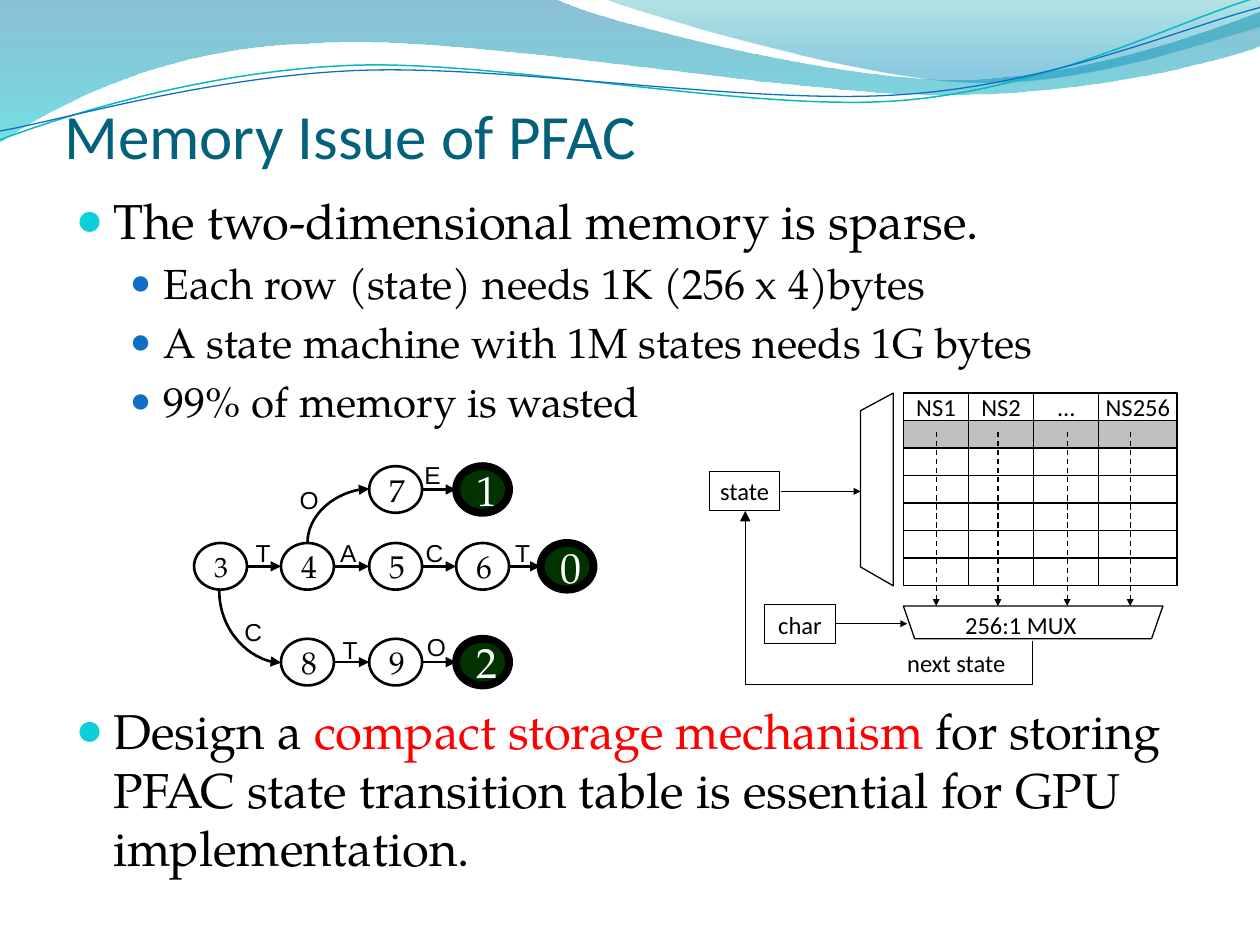
from lxml.etree import SubElement
from pptx import Presentation
from pptx.dml.color import RGBColor
from pptx.enum.dml import MSO_LINE
from pptx.enum.shapes import MSO_CONNECTOR, MSO_SHAPE
from pptx.enum.text import MSO_ANCHOR, MSO_AUTO_SIZE, PP_ALIGN
from pptx.oxml.ns import qn
from pptx.util import Inches, Pt

COLORS = {
    "black": "000000", "white": "FFFFFF", "title": "04617B", "red": "FF0000",
    "bullet": "0BD0D9", "sub_bullet": "0F6FC6", "gray": "BFBFBF", "accept": "003300",
    "teal_line": "0AB8BF", "blue_line": "0F6FC6",
    "deep": "0074A1", "cyan": "00C6CF", "teal": "00A1A9", "sky": "008BBF",
}
SERIF = "TeX Gyre Pagella"


def color(name):
    return RGBColor.from_string(COLORS[name])


def format_frame(frame, inset=None, **values):
    if inset is not None:
        margins = ("margin_left", "margin_top", "margin_right", "margin_bottom")
        values = {**dict.fromkeys(margins, Inches(inset)), **values}
    for name, value in values.items():
        setattr(frame, name, value)


def add_run(paragraph, text, font, size, font_color="black"):
    run = paragraph.add_run()
    run.text = text
    for name, value in {"name": font, "size": Pt(size), "bold": False}.items():
        setattr(run.font, name, value)
    run.font.color.rgb = color(font_color)


def paint(shape, fill=None, line=None, width=0.75):
    shape.shadow.inherit = False
    if fill:
        shape.fill.solid()
        shape.fill.fore_color.rgb = color(fill)
    else:
        shape.fill.background()
    if line:
        shape.line.color.rgb = color(line)
        shape.line.width = Pt(width)
    else:
        shape.line.fill.background()


def add_label(slide, text, left, top, width, height, font="Calibri", **frame_format):
    box = slide.shapes.add_textbox(*map(Inches, (left, top, width, height)))
    format_frame(box.text_frame, word_wrap=True, **frame_format)
    add_run(box.text_frame.paragraphs[0], text, font, 14)


def add_node(slide, kind, text, box, fill, width=0.75, font="Calibri", size=14, inset=None):
    shape = slide.shapes.add_shape(kind, *map(Inches, box))
    paint(shape, fill, "black", width)
    format_frame(shape.text_frame, inset, vertical_anchor=MSO_ANCHOR.MIDDLE)
    if text:
        paragraph = shape.text_frame.paragraphs[0]
        paragraph.alignment = PP_ALIGN.CENTER
        add_run(paragraph, text, font, size, "white" if fill == "accept" else "black")


def add_arrow(slide, start, end, width=0.75, head="med", dashed=False,
              preset=None, turn=0, flips="", adjust=None):
    """Straight arrow, or a turned preset connector spanning the same two corners."""
    connector = slide.shapes.add_connector(MSO_CONNECTOR.STRAIGHT, *map(Inches, (*start, *end)))
    connector.line.color.rgb = color("black")
    connector.line.width = Pt(width)
    if dashed:
        connector.line.dash_style = MSO_LINE.DASH
    properties = connector._element.spPr
    SubElement(properties.find(qn("a:ln")), qn("a:tailEnd"), type="triangle", w=head, len=head)
    SubElement(properties, qn("a:effectLst"))
    if preset:
        transform = properties.find(qn("a:xfrm"))
        transform.set("rot", str(turn * 60000))
        for flip in flips:
            transform.set("flip" + flip, "1")
        geometry = properties.find(qn("a:prstGeom"))
        geometry.set("prst", preset)
        if adjust is not None:
            guides = geometry.get_or_add_avLst()
            SubElement(guides, qn("a:gd"), name="adj1", fmla=f"val {adjust}")


def add_outline(slide, points, closed=True):
    first, *rest = [(Inches(x), Inches(y)) for x, y in points]
    builder = slide.shapes.build_freeform(*first)
    builder.add_line_segments(rest, close=closed)
    return builder.convert_to_shape()


def add_wave(slide, left, top, start, segments, closed=True):
    """Outline of line (2 numbers) and cubic curve (6 numbers) segments."""
    points = [start] + [pair for segment in segments for pair in zip(segment[::2], segment[1::2])]
    wave = add_outline(slide, [(left + x, top + y) for x, y in points], closed)
    corners = iter(list(wave._element.spPr.iter(qn("a:lnTo"))))
    for segment in segments:
        corner = next(corners)
        if len(segment) == 6:
            corner.tag = qn("a:cubicBezTo")
            for _ in range(2):
                control = next(corners)
                control.getparent().remove(control)
                corner.append(control[0])
    return wave


def draw_waves(slide, left, top):
    bands = [
        ((0, 0), [(4.4, -0.01), (4.76, 0.17, 6.64, 0.63, 7.58, 0.63),
                  (8.53, 0.63, 9.58, 0.26, 10, 0.09), (10.01, 0.36),
                  (9.83, 0.44, 8.7, 0.76, 7.46, 0.75), (6.22, 0.75, 3.82, 0.28, 2.57, 0.34),
                  (1.29, 0.36, 0.46, 0.83, -0.01, 1.13)], [("deep", 0, 45), ("cyan", 1, 55)]),
        ((4.79, -0.01), [(5.09, 0.11, 6.82, 0.62, 7.69, 0.65),
                         (8.56, 0.69, 9.61, 0.32, 10, 0.21), (10, 0)],
         [("teal", 0, 30), ("sky", 0.8, 45)]),
    ]
    lines = [
        ((0, 1.11), [(0.48, 0.93, 1.58, 0.57, 2.77, 0.52), (3.95, 0.47, 5.93, 0.89, 7.13, 0.8),
                     (8.33, 0.71, 9.38, 0.15, 9.98, -0.02)], "teal_line", 0.85),
        ((0, 1.04), [(0.47, 0.96, 1.64, 0.61, 2.83, 0.56), (4.03, 0.51, 5.97, 0.84, 7.17, 0.75),
                     (8.36, 0.67, 9.41, 0.21, 10, 0.06)], "blue_line", 0.75),
    ]
    for start, segments, stops in bands:
        band = add_wave(slide, left, top, start, segments)
        paint(band)
        band.fill.gradient()
        band.fill.gradient_angle = 270
        for stop, (name, position, _) in zip(band.fill.gradient_stops, stops):
            stop.color.rgb = color(name)
            stop.position = position
        for element, (_, _, opacity) in zip(band._element.spPr.iter(qn("a:srgbClr")), stops):
            SubElement(element, qn("a:alpha"), val=str(opacity * 1000))
    for start, segments, name, width in lines:
        paint(add_wave(slide, left, top, start, segments, closed=False), None, name, width)


def place_placeholder(slide, shape, box):
    for name, value in zip(("left", "top", "width", "height"), box):
        setattr(shape, name, Inches(value))
    slide.shapes._spTree.append(shape._element)  # in front of the waves
    return shape.text_frame


def fill_title(slide, box):
    frame = place_placeholder(slide, slide.shapes.title, box)
    format_frame(frame, 0, margin_top=Inches(0.05), vertical_anchor=MSO_ANCHOR.BOTTOM,
                 auto_size=MSO_AUTO_SIZE.NONE)
    frame.paragraphs[0].alignment = PP_ALIGN.LEFT
    add_run(frame.paragraphs[0], "Memory Issue of PFAC", "Calibri", 36, "title")


def fill_body(slide, box):
    frame = place_placeholder(slide, slide.placeholders[1], box)
    format_frame(frame, auto_size=MSO_AUTO_SIZE.NONE, vertical_anchor=MSO_ANCHOR.TOP)
    levels = [(28, 0.3, -0.3, "bullet", 95), (24, 0.7, -0.27, "sub_bullet", 85)]
    diagram_gap = 157
    items = [
        (0, 5.6, [("The two-dimensional memory is sparse.", "black")]),
        (1, 4.8, [("Each row (state) needs 1K (256 x 4)bytes", "black")]),
        (1, 4.8, [("A state machine with 1M states needs 1G bytes", "black")]),
        (1, 4.8, [("99% of memory is wasted", "black")]),
        (0, diagram_gap, [("Design a ", "black"), ("compact storage mechanism ", "red"),
                          ("for storing PFAC state transition table is essential for GPU "
                           "implementation.", "black")]),
    ]
    for index, (level, gap, runs) in enumerate(items):
        paragraph = frame.add_paragraph() if index else frame.paragraphs[0]
        size, margin, indent, bullet_color, bullet_size = levels[level]
        paragraph.level = level
        paragraph.space_before = Pt(gap)
        properties = paragraph._p.get_or_add_pPr()
        properties.set("marL", str(Inches(margin)))
        properties.set("indent", str(Inches(indent)))
        SubElement(SubElement(properties, qn("a:buClr")), qn("a:srgbClr"), val=COLORS[bullet_color])
        SubElement(properties, qn("a:buSzPct"), val=str(bullet_size * 1000))
        SubElement(properties, qn("a:buFont"), typeface="Arial")
        SubElement(properties, qn("a:buChar"), char="●")
        for text, name in runs:
            add_run(paragraph, text, SERIF, size, name)


def draw_state_machine(slide, left, top):
    width, height = 0.42, 0.37
    columns = [left + x for x in (0, 0.69, 1.39, 2.08, 2.75)]
    rows = [(top, 2, "71"), (top + 0.61, 0, "34560"), (top + 1.37, 1, "892")]
    for y, first, states in rows:
        places = columns[first:first + len(states)]
        for x, state in zip(places, states):
            accepting = state in "012"
            add_node(slide, MSO_SHAPE.OVAL, state, (x, y, width, height),
                     "accept" if accepting else None, 4.5 if accepting else 1.5, SERIF,
                     24 if accepting else 16 if state == "3" else 18)
        for x, following in zip(places, places[1:]):
            add_arrow(slide, (x + width, y + height / 2), (following, y + height / 2), 1.5)
    # Branches to states 7 and 8
    for x, y, length, turn, flips in [(0.93, 0.15, 0.43, 90, "HV"), (0.16, 1.03, 0.57, 270, "H")]:
        add_arrow(slide, (left + x, top + y), (left + x + length, top + y + 0.49), 1.5,
                  preset="curvedConnector2", turn=turn, flips=flips)
    # Transition characters
    for text, x, y in [("O", 0.74, 0.1), ("E", 1.73, -0.1), ("T", 0.39, 0.52), ("A", 1.06, 0.52),
                       ("C", 1.74, 0.52), ("T", 2.45, 0.52), ("C", 0.3, 1.15), ("T", 1.08, 1.29),
                       ("O", 1.75, 1.27)]:
        add_label(slide, text, left + x, top + y, 0.25, 0.24, "Arial")


def draw_memory(slide, left, top):
    def at(x, y):
        return left + x, top + y

    # State table, with the current row shaded
    row_height, column_width = 0.218, 0.517
    for row in range(7):
        for column, heading in enumerate(["NS1", "NS2", "…", "NS256"]):
            box = (*at(1.54 + column * column_width, row * row_height),
                   0.62 if column == 3 else column_width, row_height)
            add_node(slide, MSO_SHAPE.RECTANGLE, "" if row else heading, box,
                     "gray" if row == 1 else "white", inset=0)
    # Decoder and multiplexer
    for corners in ([(1.46, 0), (1.2, 0.14), (1.2, 1.38), (1.46, 1.53)],
                    [(1.54, 1.69), (1.63, 1.95), (3.51, 1.95), (3.6, 1.69)]):
        paint(add_outline(slide, [at(*corner) for corner in corners]), "white", "black")
    # Inputs
    for text, x, y in [("state", 0, 0.62), ("char", 0.44, 1.68)]:
        add_node(slide, MSO_SHAPE.RECTANGLE, text, (*at(x, y), 0.56, 0.31), "white", inset=0)
    # Signals
    add_arrow(slide, at(0.57, 0.78), at(1.2, 0.78), head="sm")
    add_arrow(slide, at(1, 1.83), at(1.57, 1.83), head="sm")
    for x in (1.8, 2.29, 2.84, 3.34):
        add_arrow(slide, at(x, 0.31), at(x, 1.69), head="sm", dashed=True)
    add_arrow(slide, at(0.91, 0.31), at(1.94, 2.59), preset="bentConnector3",
              turn=270, flips="V", adjust=-34000)
    for text, x, y, width in [("next state", 1.57, 1.99, 1.18), ("256:1 MUX", 2.03, 1.69, 1.03)]:
        add_label(slide, text, *at(x, y), width, 0.3, inset=0, vertical_anchor=MSO_ANCHOR.MIDDLE)


def main():
    presentation = Presentation()
    presentation.slide_width, presentation.slide_height = Inches(10), Inches(7.5)
    slide = presentation.slides.add_slide(presentation.slide_layouts[1])
    draw_waves(slide, 0, 0)
    fill_title(slide, (0.51, 0.52, 9, 0.85))
    fill_body(slide, (0.5, 1.46, 9, 5.45))
    draw_memory(slide, 5.63, 3.12)
    draw_state_machine(slide, 1.54, 3.7)
    presentation.save("out.pptx")


if __name__ == "__main__":
    main()
